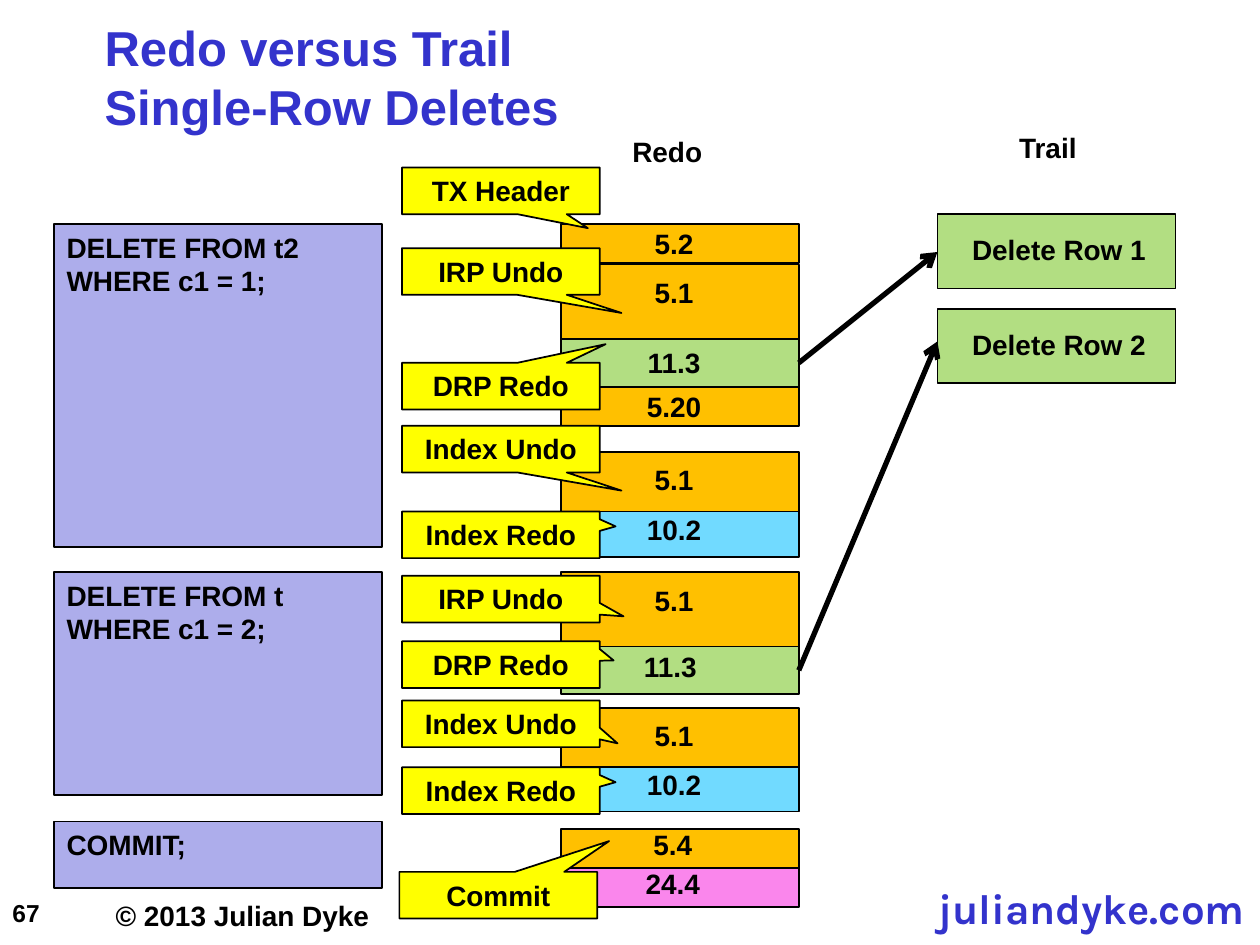
from dataclasses import dataclass

from lxml import etree
from pptx import Presentation
from pptx.dml.color import RGBColor
from pptx.enum.shapes import MSO_CONNECTOR, MSO_SHAPE
from pptx.enum.text import MSO_ANCHOR, PP_ALIGN
from pptx.oxml.ns import qn
from pptx.util import Inches, Pt

LEFT, CENTER, RIGHT = PP_ALIGN.LEFT, PP_ALIGN.CENTER, PP_ALIGN.RIGHT
TOP, MIDDLE, BOTTOM = MSO_ANCHOR.TOP, MSO_ANCHOR.MIDDLE, MSO_ANCHOR.BOTTOM
RECT, CALLOUT = MSO_SHAPE.RECTANGLE, MSO_SHAPE.RECTANGULAR_CALLOUT
STRAIGHT = MSO_CONNECTOR.STRAIGHT


@dataclass(frozen=True)
class Theme:
    black: str = "000000"
    blue: str = "3333CC"
    lilac: str = "ADADEB"
    orange: str = "FFC000"
    green: str = "B2DE82"
    cyan: str = "71DAFF"
    pink: str = "FA86EC"
    yellow: str = "FFFF00"
    font: str = "Arial"
    site_font: str = "Karla"
    title: int = 28
    site: int = 24
    body: int = 16
    number: int = 14


THEME = Theme()


def write(frame, text, size=THEME.body, color=THEME.black, font=THEME.font,
          align=LEFT, anchor=TOP, wrap=True, insets=(0.1, 0.05, 0.1, 0.05),
          spacing=None):
    """Fill a text frame, one paragraph for each line."""
    frame.word_wrap = wrap
    frame.vertical_anchor = anchor
    (frame.margin_left, frame.margin_top,
     frame.margin_right, frame.margin_bottom) = map(Inches, insets)
    frame.text = text
    for para in frame.paragraphs:
        para.alignment = align
        para.line_spacing = spacing
        for span in para.runs:
            span.font.name = font
            span.font.size = Pt(size)
            span.font.bold = True
            span.font.color.rgb = RGBColor.from_string(color)


class Page:
    def __init__(self, slide, theme):
        self.shapes = slide.shapes
        self.theme = theme

    def text(self, place, text, **style):
        box = self.shapes.add_textbox(*map(Inches, place))
        write(box.text_frame, text, **style)

    def shape(self, kind, place, fill):
        box = self.shapes.add_shape(kind, *map(Inches, place))
        box.shadow.inherit = False
        box.fill.solid()
        box.fill.fore_color.rgb = RGBColor.from_string(fill)
        box.line.color.rgb = RGBColor.from_string(self.theme.black)
        box.line.width = Pt(1)
        return box

    def block(self, place, fill, text, label, **style):
        self.shape(RECT, place, fill)
        self.text(label, text, **style)

    def callout(self, left, top, text, tip):
        box = self.shape(CALLOUT, (left, top, 1.57, 0.37), self.theme.yellow)
        box.adjustments[0], box.adjustments[1] = tip
        write(box.text_frame, text, align=CENTER)

    def arrow(self, start, end):
        line = self.shapes.add_connector(STRAIGHT, *map(Inches, start + end))
        line.line.color.rgb = RGBColor.from_string(self.theme.black)
        line.line.width = Pt(3)
        etree.SubElement(line.line._get_or_add_ln(), qn("a:tailEnd"), type="arrow")
        etree.SubElement(line._element.spPr, qn("a:effectLst"))


deck = Presentation()
deck.slide_width, deck.slide_height = Inches(10), Inches(7.5)
page = Page(deck.slides.add_slide(deck.slide_layouts[6]), THEME)

# Title, footer and column headings
page.text((0.83, 0.08, 8.75, 0.99), "Redo versus Trail\nSingle-Row Deletes",
          size=THEME.title, color=THEME.blue, anchor=BOTTOM, insets=(0, 0.05, 0, 0))
page.text((0, 7.08, 0.42, 0.33), "67", size=THEME.number, anchor=MIDDLE, wrap=False)
page.text((0.82, 7.08, 2.23, 0.37), "© 2013 Julian Dyke", wrap=False)
page.text((6.81, 7.03, 3.19, 0.42), "juliandyke.com", size=THEME.site,
          color=THEME.blue, font=THEME.site_font, align=RIGHT, spacing=0.8,
          insets=(0.1, 0.05, 0.12, 0.05))
for left, top, heading in ((4.92, 1.02, "Redo"), (7.99, 0.99, "Trail")):
    page.text((left, top, 1.02, 0.37), heading)

# SQL statements
for top, height, sql in (
    (1.78, 2.56, "DELETE FROM t2\nWHERE c1 = 1;"),
    (4.54, 1.77, "DELETE FROM t\nWHERE c1 = 2;"),
    (6.52, 0.53, "COMMIT;"),
):
    label_height = 0.37 + 0.27 * sql.count("\n")
    page.block((0.43, top, 2.6, height), THEME.lilac, sql,
               (0.43, top, 2.76, label_height))

# Redo records: top, height, fill, text, label left, label top
for top, height, fill, text, label_left, label_top in (
    (1.78, 0.31, THEME.orange, "5.2", 4.72, 1.75),
    (2.68, 0.39, THEME.green, "11.3", 4.72, 2.69),
    (2.1, 0.59, THEME.orange, "5.1", 4.72, 2.14),
    (3.07, 0.31, THEME.orange, "5.20", 4.72, 3.04),
    (4.03, 0.39, THEME.cyan, "10.2", 4.72, 4.02),
    (3.59, 0.47, THEME.orange, "5.1", 4.72, 3.62),
    (5.12, 0.39, THEME.green, "11.3", 4.69, 5.11),
    (4.54, 0.59, THEME.orange, "5.1", 4.72, 4.58),
    (6.05, 0.39, THEME.cyan, "10.2", 4.72, 6.04),
    (5.62, 0.47, THEME.orange, "5.1", 4.72, 5.65),
    (6.58, 0.31, THEME.orange, "5.4", 4.71, 6.52),
    (6.89, 0.31, THEME.pink, "24.4", 4.71, 6.83),
):
    page.block((4.45, top, 1.89, height), fill, text,
               (label_left, label_top, 1.26, 0.37), align=CENTER)

# Trail records, each with the arrow from its redo record
for row, (top, start, end_top) in enumerate(
        ((1.7, (6.34, 2.88), 2), (2.45, (6.34, 5.32), 2.71)), 1):
    page.block((7.44, top, 1.89, 0.59), THEME.green, f"Delete Row {row}",
               (7.54, top + 0.1, 1.73, 0.37), align=CENTER)
    page.arrow(start, (7.44, end_top))

# Callouts: left, top, text, tip relative to the centre
for left, top, text, tip in (
    (3.19, 1.33, "TX Header", (0.44, 0.8)),
    (3.19, 1.97, "IRP Undo", (0.61, 0.89)),
    (3.19, 2.88, "DRP Redo", (0.53, -0.9)),
    (3.19, 3.38, "Index Undo", (0.61, 0.89)),
    (3.19, 4.06, "Index Redo", (0.58, -0.18)),
    (3.19, 4.57, "IRP Undo", (0.62, 0.37)),
    (3.19, 5.09, "DRP Redo", (0.57, -0.09)),
    (3.19, 5.56, "Index Undo", (0.59, 0.42)),
    (3.19, 6.09, "Index Redo", (0.58, -0.18)),
    (3.17, 6.92, "Commit", (0.56, -1.16)),
):
    page.callout(left, top, text, tip)

deck.save("out.pptx")
